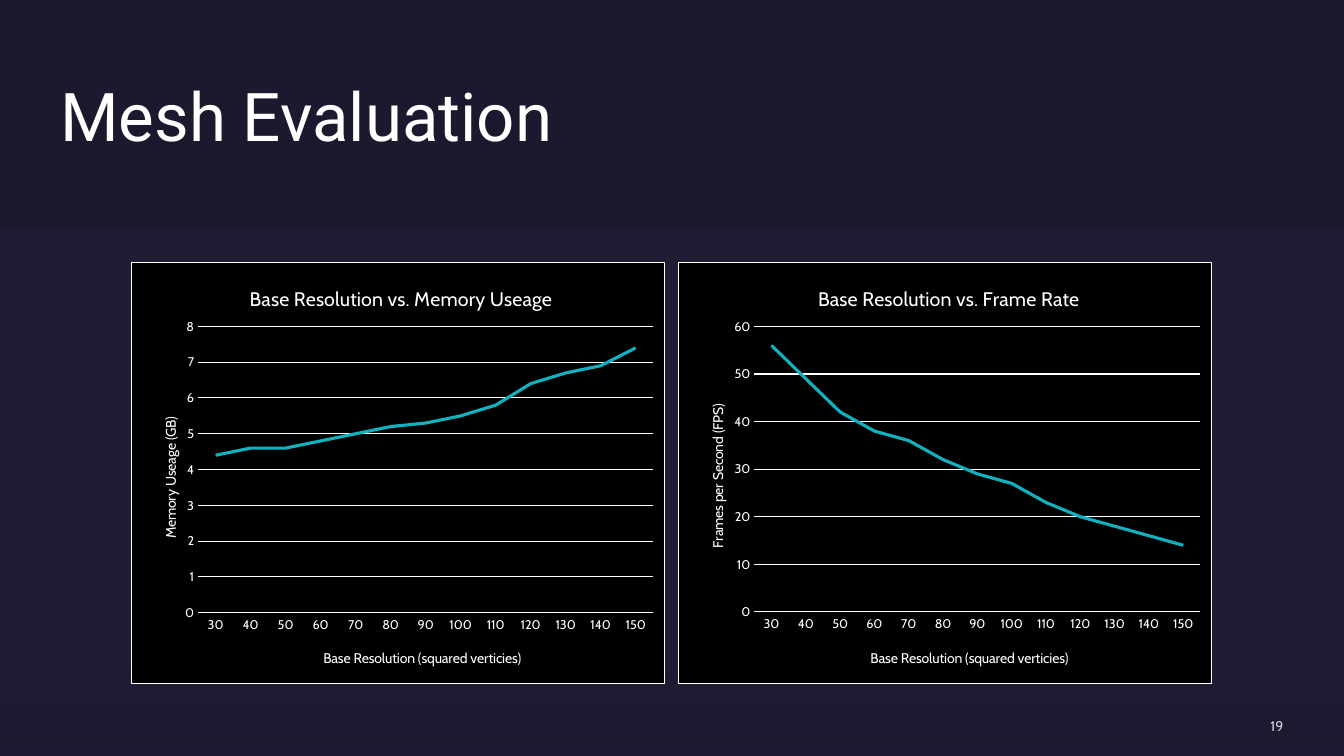
from dataclasses import dataclass

from lxml.etree import fromstring
from pptx import Presentation
from pptx.chart.data import CategoryChartData
from pptx.dml.color import RGBColor as Rgb
from pptx.enum.chart import XL_CHART_TYPE as ChartType, XL_TICK_MARK as Tick
from pptx.enum.shapes import MSO_SHAPE as Preset
from pptx.enum.text import MSO_ANCHOR as Anchor, PP_ALIGN as Align
from pptx.oxml import parse_xml
from pptx.oxml.ns import nsdecls, qn
from pptx.util import Cm, Pt


@dataclass(frozen=True)
class Theme:
    """Colours, fonts and type sizes of the deck."""
    night: str = "1B192E"
    violet: str = "7771B2"
    white: str = "FFFFFF"
    black: str = "000000"
    teal: str = "12B1BF"
    heading_font: str = "Roboto"
    body_font: str = "Cabin"
    heading: int = 48
    chart_title: int = 14
    label: int = 10
    tick: int = 9
    hairline: float = 0.75
    curve: float = 2.25


def style_font(font, name, size, color):
    """Give a font its face, size and colour."""
    font.name, font.size, font.bold = name, Pt(size), False
    font.color.rgb = Rgb.from_string(color)


def write(frame, text, *, font, size, color, align=Align.LEFT, after=0):
    """Put one formatted paragraph into a text frame."""
    para = frame.paragraphs[0]
    para.alignment = align
    para.space_before, para.space_after = Pt(0), Pt(after)
    span = para.add_run()
    span.text = text
    style_font(span.font, font, size, color)


def set_opacity(element, percent):
    """Make every plain colour inside an element partly transparent."""
    for color in element.iter(qn("a:srgbClr")):
        color.append(parse_xml(f'<a:alpha {nsdecls("a")} val="{percent * 1000}"/>'))


def set_layout(parent, after, inner=False, **place):
    """Place a chart part by fractions of the chart area."""
    for layout in parent.findall(qn("c:layout")):
        parent.remove(layout)
    target = '<c:layoutTarget val="inner"/>' if inner else ""
    modes = "".join(f'<c:{key}Mode val="edge"/>' for key in "xy")
    values = "".join(f'<c:{key} val="{value}"/>' for key, value in place.items())
    layout = parse_xml(f'<c:layout {nsdecls("c")}><c:manualLayout>{target}{modes}{values}'
                       "</c:manualLayout></c:layout>")
    if after is None:
        parent.insert(0, layout)
    else:
        after.addnext(layout)


class SlideBuilder:
    """Draws styled elements on the current slide."""

    def __init__(self, deck, theme):
        self.theme = theme
        self.page = deck.slides.add_slide(deck.slide_layouts[5])
        background = self.page.background.fill
        background.solid()
        background.fore_color.rgb = Rgb.from_string(theme.night)

    def panel(self, top, height, color, opacity=100):
        """Draw a full-width plain rectangle."""
        box = self.page.shapes.add_shape(Preset.RECTANGLE, 0, Cm(top), Cm(33.87), Cm(height))
        box.shadow.inherit = False
        box.line.fill.background()
        box.fill.solid()
        box.fill.fore_color.rgb = Rgb.from_string(color)
        if opacity < 100:
            set_opacity(box.element.spPr, opacity)
        return box

    def gradient_panel(self, top, height, color, stops):
        """Draw a full-width rectangle that fades in downwards."""
        box = self.panel(top, height, color)
        marks = "".join(
            f'<a:gs pos="{place * 1000}"><a:srgbClr val="{color}">'
            f'<a:alpha val="{opacity * 1000}"/></a:srgbClr></a:gs>' for place, opacity in stops)
        solid = box.element.spPr.find(qn("a:solidFill"))
        solid.addnext(fromstring(f'<a:gradFill {nsdecls("a")} rotWithShape="1"><a:gsLst>{marks}'
                                 '</a:gsLst><a:lin ang="5400000" scaled="0"/></a:gradFill>'))
        solid.getparent().remove(solid)

    def place_text(self, box, text, left, top, width, height, **style):
        """Position a text shape and fill it."""
        box.left, box.top, box.width, box.height = map(Cm, (left, top, width, height))
        frame = box.text_frame
        frame.word_wrap, frame.vertical_anchor = True, Anchor.MIDDLE
        frame.margin_left = frame.margin_right = frame.margin_top = frame.margin_bottom = 0
        write(frame, text, after=6, color=self.theme.white, **style)

    def title(self, text, *place):
        """Fill the title placeholder and bring it to the front."""
        box = self.page.shapes.title
        box.element.getparent().append(box.element)
        self.place_text(box, text, *place, font=self.theme.heading_font, size=self.theme.heading)

    def page_number(self, text, *place):
        """Write the faded page number."""
        box = self.page.shapes.add_textbox(0, 0, 0, 0)
        self.place_text(box, text, *place, font=self.theme.body_font, size=self.theme.label,
                        align=Align.RIGHT)
        set_opacity(box.element, 80)

    def chart_text(self, title, text, size, x, y, rotation=0):
        """Write and place a chart or axis title."""
        write(title.text_frame, text, font=self.theme.body_font, size=size,
              color=self.theme.white, align=Align.CENTER)
        next(title.element.iter(qn("a:bodyPr"))).set("rot", str(rotation))
        set_layout(title.element, title.element.find(qn("c:tx")), x=x, y=y)

    def chart_frame(self, chart):
        """Give the chart area a fill, a border and square corners."""
        theme, space = self.theme, chart.element
        for corners in space.findall(qn("c:roundedCorners")):
            space.remove(corners)
        space.find(qn("c:date1904")).addnext(
            parse_xml(f'<c:roundedCorners {nsdecls("c")} val="0"/>'))
        space.find(qn("c:chart")).addnext(parse_xml(
            f'<c:spPr {nsdecls("c", "a")}><a:solidFill><a:srgbClr val="{theme.black}"/>'
            f'</a:solidFill><a:ln w="{Pt(theme.hairline)}"><a:solidFill>'
            f'<a:srgbClr val="{theme.white}"/></a:solidFill></a:ln></c:spPr>'))

    def line_chart(self, left, title, title_x, unit, unit_place, values, top_value, step, plot):
        """Draw one framed line chart over base resolution."""
        theme = self.theme
        data = CategoryChartData()
        data.categories = [str(size) for size in range(30, 151, 10)]
        data.add_series("Series 1", values)
        chart = self.page.shapes.add_chart(
            ChartType.LINE, Cm(left), Cm(6.6), Cm(13.46), Cm(10.64), data).chart
        style_font(chart.font, theme.body_font, theme.label, theme.white)
        self.chart_frame(chart)
        chart.has_legend = False
        chart.has_title = True
        chart.chart_title.include_in_layout = False
        self.chart_text(chart.chart_title, title, theme.chart_title, title_x, 0.045)

        across, upright = chart.category_axis, chart.value_axis
        for axis in (across, upright):
            axis.major_tick_mark = axis.minor_tick_mark = Tick.NONE
            style_font(axis.tick_labels.font, theme.body_font, theme.tick, theme.white)
        self.chart_text(across.axis_title, "Base Resolution (squared verticies)",
                        theme.label, 0.355, 0.91)
        self.chart_text(upright.axis_title, unit, theme.label, *unit_place, rotation=-5400000)
        upright.minimum_scale, upright.maximum_scale, upright.major_unit = 0, top_value, step
        upright.tick_labels.number_format = "0"
        upright.tick_labels.number_format_is_linked = False
        upright.format.line.fill.background()
        upright.has_major_gridlines = True
        for line in (across.format.line, upright.major_gridlines.format.line):
            line.color.rgb, line.width = Rgb.from_string(theme.white), Pt(theme.hairline)

        chart.plots[0].vary_by_categories = False
        series = chart.plots[0].series[0]
        series.smooth = False
        curve = series.format.line
        curve.color.rgb, curve.width = Rgb.from_string(theme.teal), Pt(theme.curve)
        area = next(chart.element.iter(qn("c:plotArea")))
        set_layout(area, None, inner=True, **plot)


def main():
    """Build the mesh evaluation slide."""
    theme = Theme()
    deck = Presentation()
    deck.slide_width, deck.slide_height = Cm(33.87), Cm(19.05)
    slide = SlideBuilder(deck, theme)
    slide.panel(0, 19.05, theme.night)
    slide.title("Mesh Evaluation", 1.52, 1.52, 17.7, 2.74)
    slide.panel(5.79, 13.26, theme.violet, opacity=5)
    slide.gradient_panel(16.03, 3.02, theme.night, [(28, 0), (90, 60)])
    slide.page_number("19", 27.64, 18.08, 4.7, 0.43)
    slide.line_chart(
        17.09, "Base Resolution vs. Frame Rate", 0.255, "Frames per Second (FPS)", (0.05, 0.33),
        [56, 49, 42, 38, 36, 32, 29, 27, 23, 20, 18, 16, 14], 60, 10,
        {"x": 0.142, "y": 0.152, "w": 0.837, "h": 0.678})
    slide.line_chart(
        3.3, "Base Resolution vs. Memory Useage", 0.215, "Memory Useage (GB)", (0.05, 0.36),
        [4.4, 4.6, 4.6, 4.8, 5, 5.2, 5.3, 5.5, 5.8, 6.4, 6.7, 6.9, 7.4], 8, 1,
        {"x": 0.125, "y": 0.152, "w": 0.854, "h": 0.68})
    deck.save("out.pptx")


if __name__ == "__main__":
    main()
